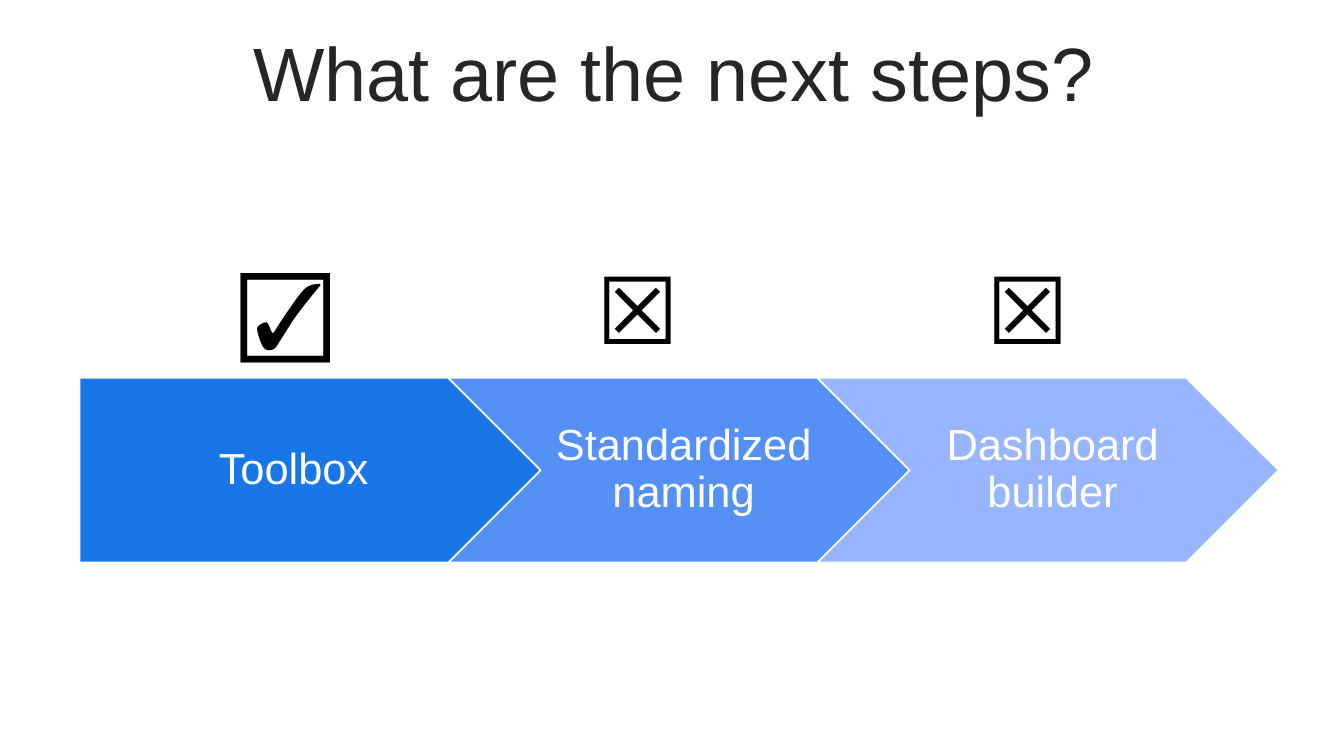
from pptx import Presentation
from pptx.dml.color import RGBColor
from pptx.enum.shapes import MSO_SHAPE
from pptx.enum.text import MSO_ANCHOR, MSO_AUTO_SIZE, PP_ALIGN
from pptx.util import Inches, Pt

CENTER = PP_ALIGN.CENTER
MIDDLE, TOP = MSO_ANCHOR.MIDDLE, MSO_ANCHOR.TOP
NO_FIT = MSO_AUTO_SIZE.NONE
PENTAGON, CHEVRON = MSO_SHAPE.PENTAGON, MSO_SHAPE.CHEVRON
TITLE_ONLY = 5

COLORS = {
    "title": "262626",
    "mark": "000000",
    "white": "FFFFFF",
    "done": "1976E7",
    "next": "5590F7",
    "later": "98B5FF",
}
STEPS = [
    ("Toolbox", PENTAGON, "done", 0.18, "☑︎", 2.39),
    ("Standardized naming", CHEVRON, "next", 0.14, "☒", 5.89),
    ("Dashboard builder", CHEVRON, "later", 0.14, "☒", 9.76),
]
STEP_LEFT, STEP_PITCH = 0.79, 3.66


def apply(target, values):
    """Set every attribute named in values on target."""
    for name, value in values.items():
        setattr(target, name, value)


class StepsSlide:
    """Hold the style and the slide, and add each kind of element."""

    font_name = "Arial"

    def __init__(self, deck):
        """Add the slide to the deck."""
        self.slide = deck.slides.add_slide(deck.slide_layouts[TITLE_ONLY])

    def fill_text(self, frame, text, size, color, frame_format, spacing=1.0):
        """Fill a text frame with one centred paragraph."""
        frame.text = text
        apply(frame, {"auto_size": NO_FIT, **frame_format})
        paragraph = frame.paragraphs[0]
        apply(paragraph, {"alignment": CENTER, "line_spacing": spacing})
        font = paragraph.runs[0].font
        apply(font, {"name": self.font_name, "size": Pt(size)})
        font.color.rgb = RGBColor.from_string(COLORS[color])

    def title(self, text, left, top, width, height):
        """Place and fill the title placeholder."""
        heading = self.slide.shapes.title
        apply(heading, {"left": Inches(left), "top": Inches(top),
                        "width": Inches(width), "height": Inches(height)})
        self.fill_text(heading.text_frame, text, 54, "title",
                       {"vertical_anchor": MIDDLE, "word_wrap": True}, 0.9)

    def step(self, text, outline, color, left, inset):
        """Add one arrow of the process with its label."""
        arrow = self.slide.shapes.add_shape(
            outline, Inches(left), Inches(3.75), Inches(4.57), Inches(1.83))
        arrow.shadow.inherit = False
        arrow.fill.solid()
        arrow.fill.fore_color.rgb = RGBColor.from_string(COLORS[color])
        arrow.line.color.rgb = RGBColor.from_string(COLORS["white"])
        arrow.line.width = Pt(1)
        self.fill_text(arrow.text_frame, text, 31, "white",
                       {"vertical_anchor": MIDDLE, "word_wrap": True,
                        "margin_left": Inches(inset), "margin_right": Inches(0.05),
                        "margin_top": Inches(0.09), "margin_bottom": Inches(0.09)},
                       0.9)

    def mark(self, symbol, left):
        """Add the status mark above a step."""
        status = self.slide.shapes.add_textbox(
            Inches(left), Inches(2.45), Inches(0.88), Inches(1.21))
        self.fill_text(status.text_frame, symbol, 66, "mark",
                       {"vertical_anchor": TOP, "word_wrap": False})


def main():
    """Build the slide and save the deck."""
    deck = Presentation()
    apply(deck, {"slide_width": Inches(13.33), "slide_height": Inches(7.5)})
    page = StepsSlide(deck)
    page.title("What are the next steps?", 0.35, 0.37, 12.66, 0.79)
    for index, (label, outline, color, inset, symbol, mark_left) in enumerate(STEPS):
        page.step(label, outline, color, STEP_LEFT + index * STEP_PITCH, inset)
        page.mark(symbol, mark_left)
    deck.save("out.pptx")


if __name__ == "__main__":
    main()
